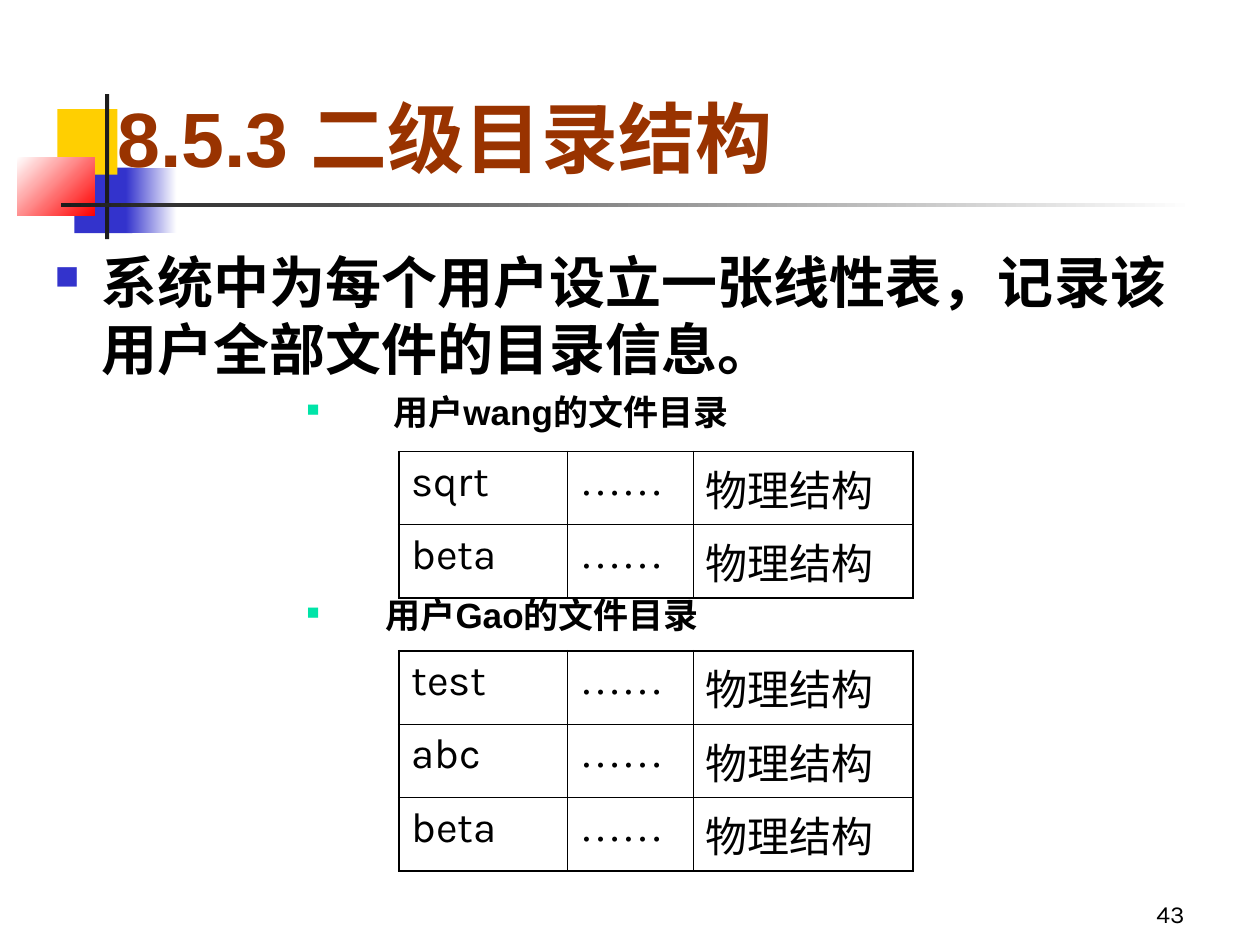
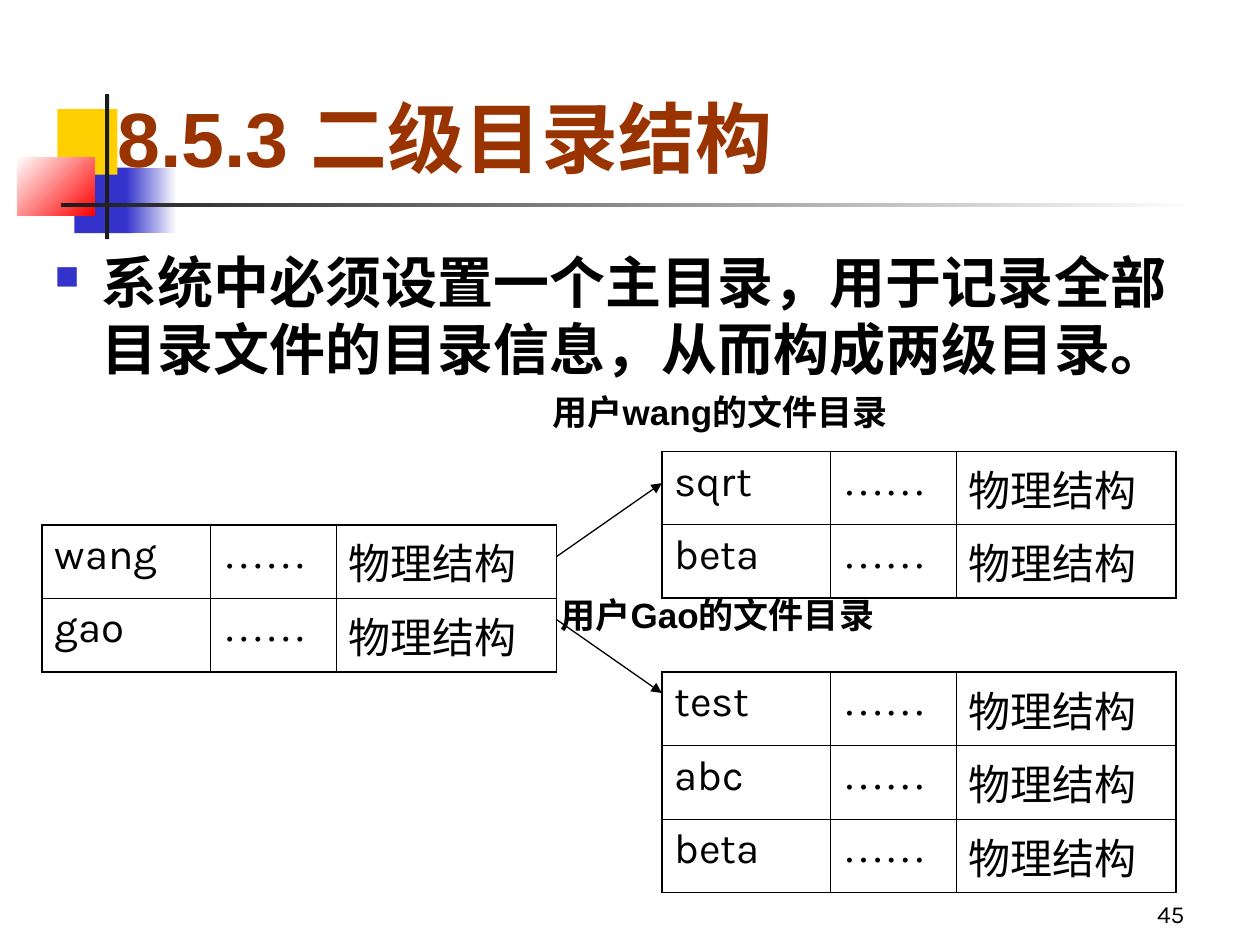
from dataclasses import dataclass

from lxml import etree
from pptx import Presentation
from pptx.dml.color import RGBColor
from pptx.enum import shapes, text
from pptx.oxml import ns
from pptx.util import Cm, Pt


@dataclass(frozen=True)
class Theme:
    title: str = "993300"
    ink: str = "000000"
    paper: str = "FFFFFF"
    dark: str = "1C1C1C"
    blue: str = "3333CC"
    yellow: str = "FFCF01"
    red: str = "FF0000"
    mint: str = "00E4A8"
    heading_font: str = "Arial"
    table_font: str = "Karla"
    dots_font: str = "Times New Roman"
    title_size: int = 44
    point_size: int = 32
    cell_size: int = 24
    caption_size: int = 20
    number_size: int = 14
    outer_border: float = 1.08
    inner_border: float = 0.45
    arrow_width: float = 0.75


THEME = Theme()
COLUMN_WIDTHS = (3.39, 2.54, 4.44)
TABLE_WIDTH = sum(COLUMN_WIDTHS)
ROW_HEIGHT = 1.48
BULLET_LEFT = 5.08
TITLE = "8.5.3 二级目录结构"
WANG_CAPTION = "用户wang的文件目录"
GAO_CAPTION = "用户Gao的文件目录"
WANG_FILES = ("sqrt", "beta")
GAO_FILES = ("test", "abc", "beta")
USERS = ("wang", "gao")


def rgb(value):
    return RGBColor.from_string(value)


def add_xml(parent, tag, **attributes):
    return etree.SubElement(parent, ns.qn(tag), attributes)


# Text
def style(paragraph, size, font, color=THEME.ink, bold=False):
    paragraph.font.size = Pt(size)
    paragraph.font.name = font
    paragraph.font.bold = bold
    paragraph.font.color.rgb = rgb(color)


def add_frame(slide, left, top, width, height, anchor):
    frame = slide.shapes.add_textbox(Cm(left), Cm(top), Cm(width), Cm(height)).text_frame
    frame.word_wrap = True
    frame.vertical_anchor = anchor
    return frame


def set_layout(paragraph, margin, hang, space, bullet=None):
    """Hanging indent in cm, space before in points, bullet as (colour, percent)."""
    paragraph.space_before = Pt(space)
    props = paragraph._p.get_or_add_pPr()
    props.set("marL", str(Cm(margin)))
    props.set("indent", str(-Cm(hang)))
    if bullet:
        color, percent = bullet
        add_xml(add_xml(props, "a:buClr"), "a:srgbClr", val=color)
        add_xml(props, "a:buSzPct", val=str(percent * 1000))
        add_xml(props, "a:buChar", char="■")
    else:
        add_xml(props, "a:buNone")


def add_body(slide, point, captions, bulleted):
    """One main point, then (caption, left margin, space before) entries."""
    frame = add_frame(slide, 0.85, 4.87, 24.02, 12.9, text.MSO_ANCHOR.TOP)
    lead = frame.paragraphs[0]
    lead.text = point
    set_layout(lead, 0.95, 0.95, 8, (THEME.blue, 60))
    style(lead, THEME.point_size, THEME.heading_font, bold=True)
    for words, margin, space in captions:
        caption = frame.add_paragraph()
        caption.text = words
        if bulleted:
            set_layout(caption, margin, margin - BULLET_LEFT, space, (THEME.mint, 50))
        else:
            set_layout(caption, margin, 0, space)
        style(caption, THEME.caption_size, THEME.heading_font, bold=True)


# Shared decoration, title and page number
def add_block(slide, left, top, width, height, color, fade_to=None, angle=0):
    block = slide.shapes.add_shape(
        shapes.MSO_SHAPE.RECTANGLE, Cm(left), Cm(top), Cm(width), Cm(height))
    block.shadow.inherit = False
    block.line.fill.background()
    if fade_to:
        block.fill.gradient()
        block.fill.gradient_angle = (360 - angle) % 360
        for stop, shade in zip(block.fill.gradient_stops, (color, fade_to)):
            stop.color.rgb = rgb(shade)
    else:
        block.fill.solid()
        block.fill.fore_color.rgb = rgb(color)


def start_slide(deck, number):
    slide = deck.slides.add_slide(deck.slide_layouts[6])
    slide.background.fill.solid()
    slide.background.fill.fore_color.rgb = rgb(THEME.paper)

    # Coloured squares with crossing bars
    add_block(slide, 1.5, 3.38, 1.17, 1.32, THEME.blue)
    add_block(slide, 1.16, 2.2, 1.21, 1.32, THEME.yellow)
    add_block(slide, 2.54, 3.38, 1.02, 1.32, THEME.blue, THEME.paper)
    add_block(slide, 0.35, 3.17, 1.56, 1.18, THEME.paper, THEME.red, 45)
    add_block(slide, 2.12, 1.9, 0.08, 2.92, THEME.dark)
    add_block(slide, 1.23, 4.09, 22.86, 0.09, THEME.dark, THEME.paper)

    page = add_frame(slide, 18.84, 17.57, 5.29, 1.27, text.MSO_ANCHOR.BOTTOM).paragraphs[0]
    page.text = str(number)
    page.alignment = text.PP_ALIGN.RIGHT
    style(page, THEME.number_size, THEME.table_font)

    heading = add_frame(slide, 2.12, 0.64, 22.43, 3.18, text.MSO_ANCHOR.BOTTOM).paragraphs[0]
    heading.text = TITLE
    style(heading, THEME.title_size, THEME.heading_font, THEME.title, bold=True)
    return slide


# Directory tables
def set_borders(cell, outer_sides):
    props = cell._tc.get_or_add_tcPr()
    for side in ("L", "R", "T", "B"):
        width = THEME.outer_border if side in outer_sides else THEME.inner_border
        border = add_xml(props, f"a:ln{side}", w=str(Pt(width)))
        add_xml(add_xml(border, "a:solidFill"), "a:srgbClr", val=THEME.ink)


def add_directory(slide, left, top, names):
    directory = slide.shapes.add_table(
        len(names), len(COLUMN_WIDTHS), Cm(left), Cm(top),
        Cm(TABLE_WIDTH), Cm(ROW_HEIGHT * len(names))).table
    directory.first_row = directory.horz_banding = False
    for column, width in zip(directory.columns, COLUMN_WIDTHS):
        column.width = Cm(width)
    last_row, last_column = len(names) - 1, len(COLUMN_WIDTHS) - 1
    fonts = (THEME.table_font, THEME.dots_font, THEME.table_font)
    for r, name in enumerate(names):
        directory.rows[r].height = Cm(ROW_HEIGHT)
        for c, words in enumerate((name, "……", "物理结构")):
            cell = directory.cell(r, c)
            edges = {"L": c == 0, "R": c == last_column, "T": r == 0, "B": r == last_row}
            set_borders(cell, [side for side, outer in edges.items() if outer])
            cell.fill.background()
            entry = cell.text_frame.paragraphs[0]
            entry.text = words
            entry.space_before = Pt(6)
            style(entry, THEME.cell_size, fonts[c])


def add_arrow(slide, start, end):
    arrow = slide.shapes.add_connector(
        shapes.MSO_CONNECTOR.STRAIGHT, *(Cm(value) for value in (*start, *end)))
    arrow.line.color.rgb = rgb(THEME.ink)
    arrow.line.width = Pt(THEME.arrow_width)
    add_xml(arrow.line._get_or_add_ln(), "a:tailEnd", type="triangle")
    add_xml(arrow._element.spPr, "a:effectLst")


# Slides
def add_user_directories(deck):
    slide = start_slide(deck, 43)
    add_body(slide, "系统中为每个用户设立一张线性表，记录该用户全部文件的目录信息。",
             [(WANG_CAPTION, 6.83, 5), (GAO_CAPTION, 6.67, 92)], bulleted=True)
    add_directory(slide, 8.04, 9.1, WANG_FILES)
    add_directory(slide, 8.04, 13.12, GAO_FILES)


def add_main_directory(deck):
    slide = start_slide(deck, 45)
    add_body(slide, "系统中必须设置一个主目录，用于记录全部目录文件的目录信息，从而构成两级目录。",
             [(WANG_CAPTION, 10.04, 5), (GAO_CAPTION, 10.2, 92)], bulleted=False)
    main_left, files_left = 0.85, 13.34
    add_directory(slide, files_left, 9.1, WANG_FILES)
    add_directory(slide, files_left, 13.55, GAO_FILES)
    add_directory(slide, main_left, 10.58, USERS)
    main_right = main_left + TABLE_WIDTH
    add_arrow(slide, (main_right, 11.22), (files_left, 9.74))
    add_arrow(slide, (main_right, 12.49), (files_left, 13.97))


def main():
    deck = Presentation()
    deck.slide_width, deck.slide_height = Cm(25.4), Cm(19.05)
    add_user_directories(deck)
    add_main_directory(deck)
    deck.save("out.pptx")


if __name__ == "__main__":
    main()
